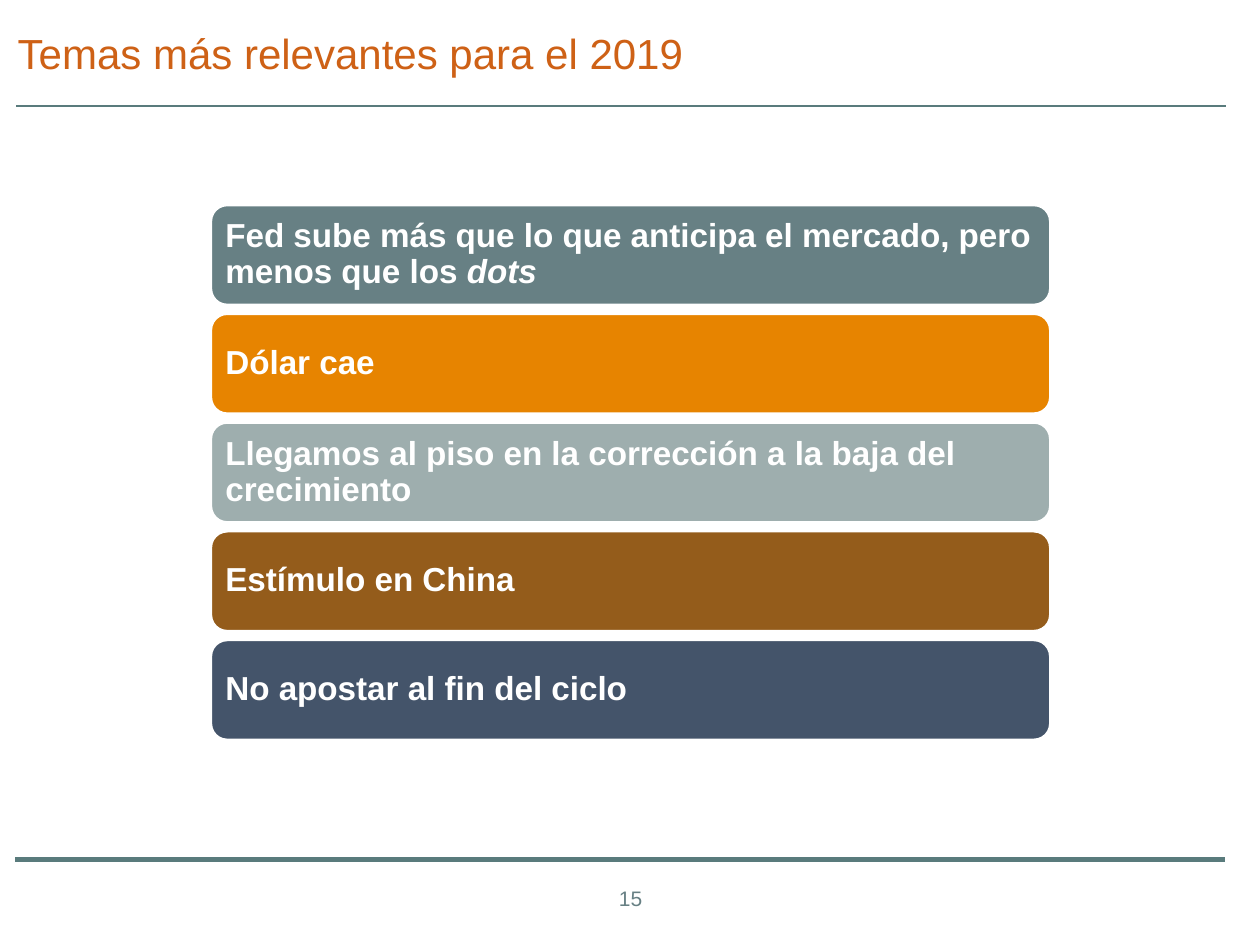
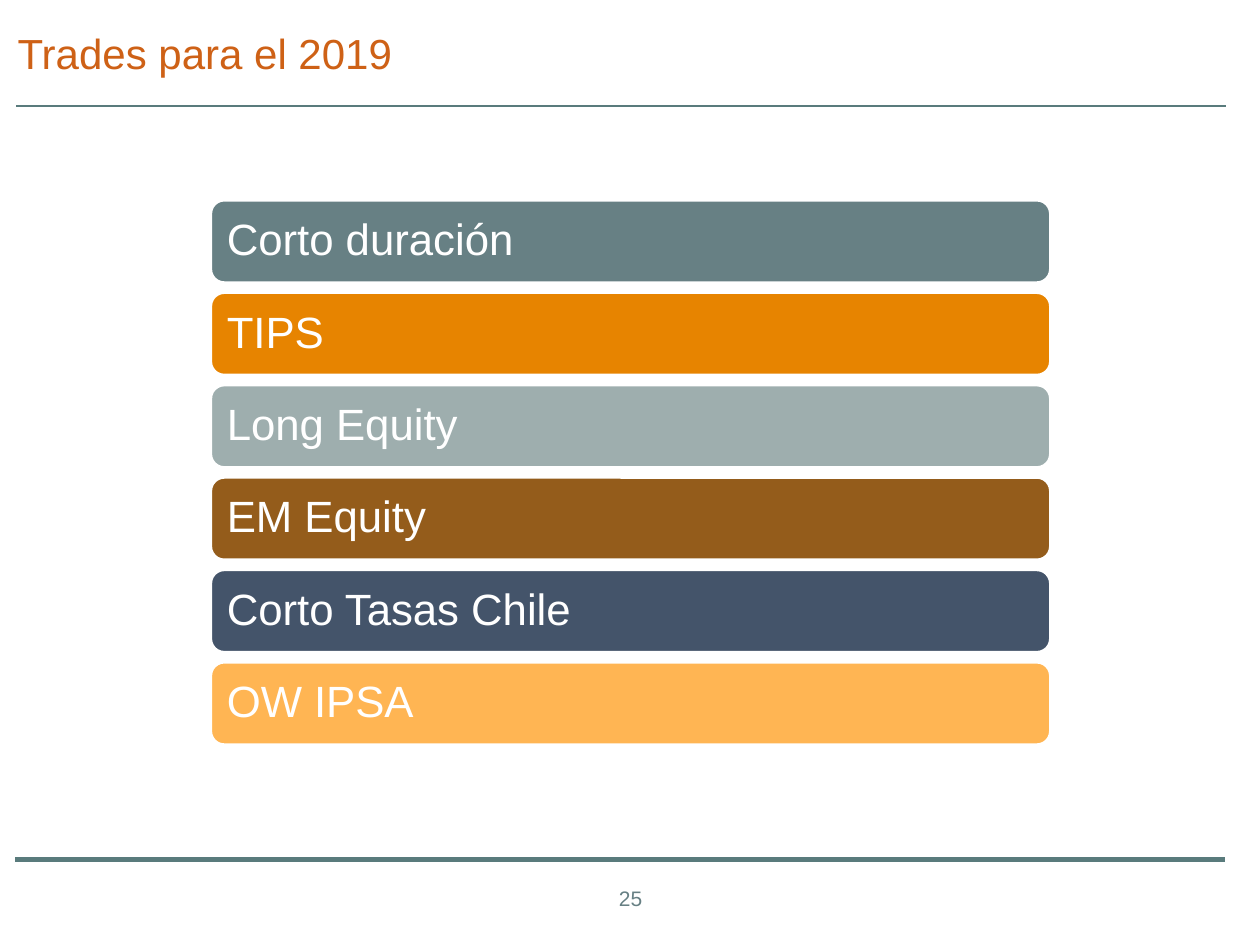
import pptx
import pptx.util
import pptx.dml.color
import pptx.enum.shapes
import pptx.enum.text
import pptx.oxml

WIDE, HIGH = 10, 7.5  # inches
FONT = "Arial"
HUES = {
    "title": "CE6116", "rule": "597B7C", "white": "FFFFFF",
    "teal": "678084", "orange": "E78400", "grey": "9EAEAE",
    "brown": "945C1B", "navy": "44546A", "sand": "FFB553",
}
BARS = ["teal", "orange", "grey", "brown", "navy", "sand"]
ALIGN = pptx.enum.text.PP_ALIGN
ANCHOR = pptx.enum.text.MSO_ANCHOR


def across(share):
    """Percent of the slide's width."""
    return pptx.util.Inches(WIDE * share / 100)


def down(share):
    """Percent of the slide's height."""
    return pptx.util.Inches(HIGH * share / 100)


def place(box):
    left, top, width, height = box
    return across(left), down(top), across(width), down(height)


def color(name):
    return pptx.dml.color.RGBColor.from_string(HUES[name])


def write(shape, *parts, size, hue, bold=None, align=ALIGN.LEFT,
          anchor=ANCHOR.MIDDLE, inset=None, lead=None, wrap=True):
    """Fill a shape with one paragraph; every second part is italic."""
    frame = shape.text_frame
    frame.word_wrap = wrap
    frame.vertical_anchor = anchor
    if inset is not None:
        frame.margin_left = frame.margin_right = pptx.util.Inches(inset)
        frame.margin_top = frame.margin_bottom = pptx.util.Inches(inset)
    para = frame.paragraphs[0]
    para.alignment = align
    para.line_spacing = lead
    for index, part in enumerate(parts):
        run = para.add_run()
        run.text = part
        font = run.font
        font.name, font.size, font.bold = FONT, pptx.util.Pt(size), bold
        font.color.rgb = color(hue)
        if index % 2:
            font.italic = True


def rule(slide, left, top, weight):
    """Draw a level line across the page."""
    line = slide.shapes.add_connector(
        pptx.enum.shapes.MSO_CONNECTOR.STRAIGHT,
        across(left), down(top), across(left + 96), down(top))
    line.line.color.rgb = color("rule")
    line.line.width = pptx.util.Pt(weight)
    props = line._element.spPr
    props.append(props.makeelement(pptx.oxml.ns.qn("a:effectLst"), {}))


def frame(deck, title, number):
    """Make a page with its title, two rules and page number."""
    slide = deck.slides.add_slide(deck.slide_layouts[5])
    rule(slide, 1.2, 90.93, 2.75)
    rule(slide, 1.3, 11.2, 1.25)
    head = slide.shapes.title
    head.left, head.top, head.width, head.height = place((0.4, 2.27, 96, 6.67))
    write(head, title, size=24, hue="title", wrap=False)
    foot = slide.shapes.add_textbox(*place((44.8, 93.07, 10.5, 4)))
    write(foot, str(number), size=12, hue="teal", align=ALIGN.CENTER,
          anchor=ANCHOR.TOP)
    return slide


def stack(slide, box, gap, items, **style):
    """Share a box out into equal bars with a gap between them."""
    left, top, width, height = box
    tall = (height - gap * (len(items) - 1)) / len(items)
    for row, (parts, hue) in enumerate(zip(items, BARS)):
        bar = slide.shapes.add_shape(
            pptx.enum.shapes.MSO_SHAPE.ROUNDED_RECTANGLE,
            *place((left, top + row * (tall + gap), width, tall)))
        bar.shadow.inherit = False
        bar.fill.solid()
        bar.fill.fore_color.rgb = color(hue)
        bar.line.color.rgb = color("white")
        bar.line.width = pptx.util.Pt(2)
        write(bar, *parts, hue="white", lead=0.9, **style)


def main():
    deck = pptx.Presentation()
    deck.slide_width = pptx.util.Inches(WIDE)
    deck.slide_height = pptx.util.Inches(HIGH)

    # Themes
    slide = frame(deck, "Temas más relevantes para el 2019", 15)
    stack(slide, (16.7, 21.65, 66.7, 56.7), 0.83, [
        ("Fed sube más que lo que anticipa el mercado, pero menos que los ",
         "dots"),
        ("Dólar cae",),
        ("Llegamos al piso en la corrección a la baja del crecimiento",),
        ("Estímulo en China",),
        ("No apostar al fin del ciclo",),
    ], size=19, bold=True, inset=0.08)

    # Trades
    slide = frame(deck, "Trades para el 2019", 25)
    stack(slide, (16.7, 21.15, 66.7, 57.7), 0.97, [
        ("Corto duración",),
        ("TIPS",),
        ("Long Equity",),
        ("EM Equity",),
        ("Corto Tasas Chile",),
        ("OW IPSA",),
    ], size=25, inset=0.1)

    deck.save("out.pptx")


if __name__ == "__main__":
    main()
